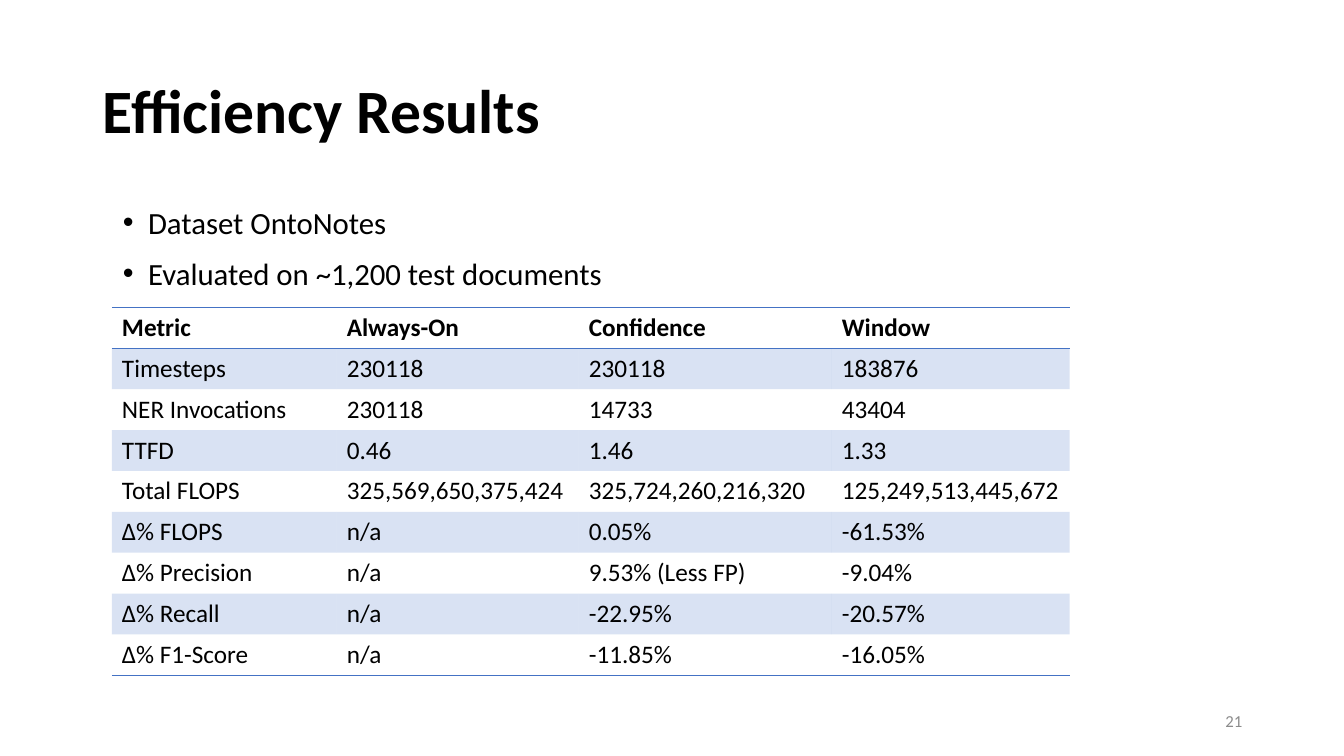
from dataclasses import dataclass

from lxml import etree
from pptx import Presentation
from pptx.dml.color import RGBColor
from pptx.enum.text import MSO_ANCHOR, MSO_AUTO_SIZE, PP_ALIGN
from pptx.oxml.ns import qn
from pptx.util import Inches, Pt

LEFT, RIGHT = PP_ALIGN.LEFT, PP_ALIGN.RIGHT
MIDDLE = MSO_ANCHOR.MIDDLE
NO_FIT = MSO_AUTO_SIZE.NONE
TITLE_ONLY = 5
NO_STYLE_NO_GRID = "{2D5ABB26-0587-4C30-8999-92F81FD0307C}"


@dataclass(frozen=True)
class Theme:
    font: str = "Calibri"
    text: str = "000000"
    muted: str = "8C8C8C"
    accent: str = "4472C4"
    band_alpha: int = 20
    title: int = 44
    body: int = 22
    cell: int = 18
    number: int = 12


THEME = Theme()

BULLETS = ["Dataset OntoNotes", "Evaluated on ~1,200 test documents"]
COL_WIDTHS = [2.23, 2.4, 2.51, 2.36]
ROW_HEIGHT = 3.65 / 9
RESULTS = [
    ["Metric", "Always-On", "Confidence", "Window"],
    ["Timesteps", "230118", "230118", "183876"],
    ["NER Invocations", "230118", "14733", "43404"],
    ["TTFD", "0.46", "1.46", "1.33"],
    ["Total FLOPS", "325,569,650,375,424", "325,724,260,216,320", "125,249,513,445,672"],
    ["Δ% FLOPS", "n/a", "0.05%", "-61.53%"],
    ["Δ% Precision", "n/a", "9.53% (Less FP)", "-9.04%"],
    ["Δ% Recall", "n/a", "-22.95%", "-20.57%"],
    ["Δ% F1-Score", "n/a", "-11.85%", "-16.05%"],
]


def add_run(p, text, size, color=THEME.text, bold=False):
    r = p.add_run()
    r.text = text
    r.font.name = THEME.font
    r.font.size = Pt(size)
    r.font.bold = bold
    r.font.color.rgb = RGBColor.from_string(color)


def add_title(s, text):
    title = s.shapes.title
    title.left, title.top = Inches(0.92), Inches(0.4)
    title.width, title.height = Inches(11.5), Inches(1.45)
    tf = title.text_frame
    tf.auto_size = NO_FIT
    tf.vertical_anchor = MIDDLE
    p = tf.paragraphs[0]
    p.alignment = LEFT
    p.line_spacing = 0.9
    add_run(p, text, THEME.title, bold=True)


def add_text_frame(s, left, top, width, height):
    box = s.shapes.add_textbox(Inches(left), Inches(top), Inches(width), Inches(height))
    tf = box.text_frame
    tf.word_wrap = True
    return tf


def add_bullets(s, items):
    tf = add_text_frame(s, 1.12, 1.84, 8.31, 1.07)
    for i, item in enumerate(items):
        p = tf.add_paragraph() if i else tf.paragraphs[0]
        p.line_spacing = Pt(36)
        add_run(p, item, THEME.body)
        pPr = p._p.get_or_add_pPr()
        pPr.set("marL", str(Inches(0.25)))
        pPr.set("indent", str(-Inches(0.25)))
        etree.SubElement(pPr, qn("a:buFont")).set("typeface", "Arial")
        etree.SubElement(pPr, qn("a:buChar")).set("char", "•")


def add_border(cell, side):
    ln = etree.Element(qn(f"a:{side}"), w=str(Pt(1)))
    fill = etree.SubElement(ln, qn("a:solidFill"))
    etree.SubElement(fill, qn("a:srgbClr"), val=THEME.accent)
    cell._tc.get_or_add_tcPr().insert(0, ln)


def fill_cell(cell, banded):
    if not banded:
        cell.fill.background()
        return
    cell.fill.solid()
    cell.fill.fore_color.rgb = RGBColor.from_string(THEME.accent)
    color = cell._tc.tcPr.find(".//" + qn("a:srgbClr"))
    etree.SubElement(color, qn("a:alpha"), val=str(THEME.band_alpha * 1000))


def add_results_table(s, rows):
    frame = s.shapes.add_table(
        len(rows), len(COL_WIDTHS), Inches(1.11), Inches(3.05),
        Inches(sum(COL_WIDTHS)), Inches(ROW_HEIGHT * len(rows)))
    table = frame.table
    frame._element.find(".//" + qn("a:tableStyleId")).text = NO_STYLE_NO_GRID
    for column, width in zip(table.columns, COL_WIDTHS):
        column.width = Inches(width)
    for i, values in enumerate(rows):
        table.rows[i].height = Inches(ROW_HEIGHT)
        for j, value in enumerate(values):
            cell = table.cell(i, j)
            add_run(cell.text_frame.paragraphs[0], value, THEME.cell, bold=i == 0)
            fill_cell(cell, banded=i % 2 == 1)
            # Rules below the header and last row, then above the header
            if i in (0, len(rows) - 1):
                add_border(cell, "lnB")
            if i == 0:
                add_border(cell, "lnT")


def add_slide_number(s, number):
    tf = add_text_frame(s, 9.42, 6.95, 3, 0.4)
    tf.vertical_anchor = MIDDLE
    p = tf.paragraphs[0]
    p.alignment = RIGHT
    p.space_after = Pt(6)
    add_run(p, number, THEME.number, THEME.muted)


def main():
    prs = Presentation()
    prs.slide_width, prs.slide_height = Inches(13.33), Inches(7.5)
    s = prs.slides.add_slide(prs.slide_layouts[TITLE_ONLY])
    add_title(s, "Efficiency Results")
    add_slide_number(s, "21")
    add_results_table(s, RESULTS)
    add_bullets(s, BULLETS)
    prs.save("out.pptx")


if __name__ == "__main__":
    main()
